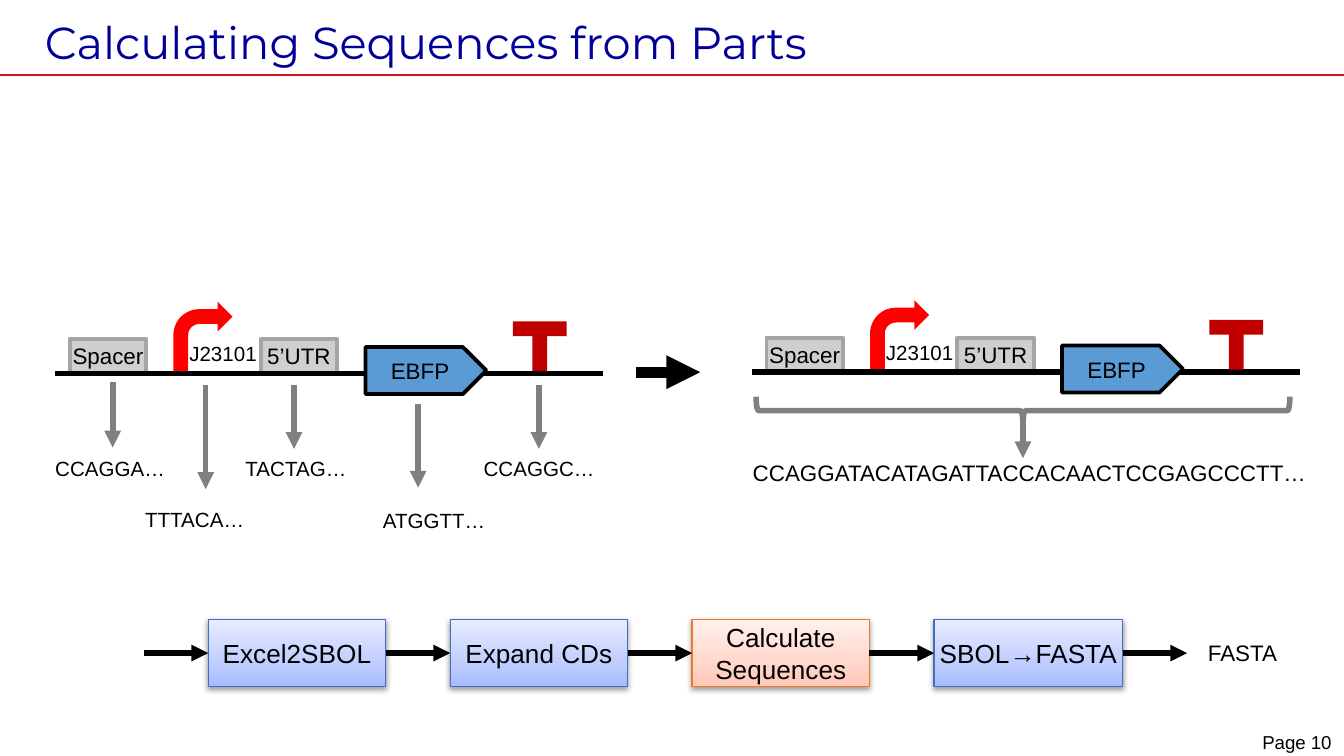
import pptx
import pptx.dml.color
import pptx.enum.dml
import pptx.enum.shapes
import pptx.enum.text
import pptx.oxml.ns
import pptx.util
from lxml import etree

Pt = pptx.util.Pt
SHAPE = pptx.enum.shapes.MSO_SHAPE
ALIGN = pptx.enum.text.PP_ALIGN
ANCHOR = pptx.enum.text.MSO_ANCHOR
qn = pptx.oxml.ns.qn

# Content
TITLE = "Calculating Sequences from Parts"
PAGE_LABEL = "Page 10"
GENE_PARTS = {"spacer": "Spacer", "promoter": "J23101", "utr": "5’UTR", "gene": "EBFP"}
# text, text left, text top, arrow x, arrow top, arrow bottom
PART_SEQUENCES = [
    ("CCAGGA…", 22.5, 240.5, 60.4, 204.5, 239.7),
    ("TTTACA…", 70.6, 268, 110.2, 206, 262),
    ("TACTAG…", 124.4, 240.5, 157.5, 206, 240.5),
    ("ATGGTT…", 198, 268.5, 224, 216.7, 261.3),
    ("CCAGGC…", 252, 241, 288.7, 206, 240.5),
]
FULL_SEQUENCE = "CCAGGATACATAGATTACCACAACTCCGAGCCCTT…"
BLUE = {"line": "3F6FC3", "stops": [(0, "A6BBFF"), (35, "C0CEFF"), (100, "E7ECFF")]}
ORANGE = {"line": "EC792B", "stops": [(0, "FFC7B6"), (35, "FFD7CB"), (100, "FFF0EB")]}
STEPS = [("Excel2SBOL", 95, BLUE), ("Expand CDs", 95, BLUE),
         ("Calculate Sequences", 95, ORANGE), ("SBOL→FASTA", 101, BLUE)]
RESULT = "FASTA"

BLACK, GREY = "000000", "808080"

deck = pptx.Presentation()
deck.slide_width, deck.slide_height = Pt(720), Pt(405)
page = deck.slides.add_slide(deck.slide_layouts[6])


def color(value):
    return pptx.dml.color.RGBColor.from_string(value)


def write(shape, text, size, ink=BLACK, font="Arial", align=ALIGN.LEFT,
          anchor=ANCHOR.TOP, insets=(7.2, 3.6, 7.2, 3.6), wrap=True, spacing=None):
    frame = shape.text_frame
    left, top, right, bottom = map(Pt, insets)
    settings = {"margin_left": left, "margin_top": top, "margin_right": right,
                "margin_bottom": bottom, "word_wrap": wrap, "vertical_anchor": anchor}
    for name, value in settings.items():
        setattr(frame, name, value)
    para = frame.paragraphs[0]
    para.alignment = align
    if spacing:
        para.line_spacing = spacing
    span = para.add_run()
    span.text = text
    for name, value in {"name": font, "size": Pt(size)}.items():
        setattr(span.font, name, value)
    span.font.color.rgb = color(ink)


def add_text(text, left, top, width, height, size, **options):
    box = page.shapes.add_textbox(Pt(left), Pt(top), Pt(width), Pt(height))
    write(box, text, size, **options)


def add_line(x1, y1, x2, y2, ink=BLACK, width=3, arrow=False):
    line = page.shapes.add_connector(
        pptx.enum.shapes.MSO_CONNECTOR.STRAIGHT, Pt(x1), Pt(y1), Pt(x2), Pt(y2))
    line.line.color.rgb = color(ink)
    line.line.width = Pt(width)
    if arrow:
        etree.SubElement(line.line._get_or_add_ln(), qn("a:tailEnd"), type="triangle")
    etree.SubElement(line._element.spPr, qn("a:effectLst"))


def add_shape(kind, left, top, width, height, fill=None, line=None, line_width=2,
              text=None, size=12):
    shape = page.shapes.add_shape(kind, Pt(left), Pt(top), Pt(width), Pt(height))
    if fill:
        shape.fill.solid()
        shape.fill.fore_color.rgb = color(fill)
    else:
        shape.fill.background()
    if line:
        shape.line.color.rgb = color(line)
        shape.line.width = Pt(line_width)
    else:
        shape.line.fill.background()
    shape.shadow.inherit = False
    if text:
        write(shape, text, size, align=ALIGN.CENTER, anchor=ANCHOR.MIDDLE,
              insets=(0, 0, 0, 0))
    return shape


def add_gradient(shape, stops):
    shape.fill.gradient()
    shape.fill.gradient_angle = 90
    stop_list = shape._element.spPr.find(".//" + qn("a:gsLst"))
    for stop in list(stop_list):
        stop_list.remove(stop)
    for position, value in stops:
        stop = etree.SubElement(stop_list, qn("a:gs"), pos=str(position * 1000))
        etree.SubElement(stop, qn("a:srgbClr"), val=value)


def add_shadow(shape):
    effects = shape._element.spPr.find(qn("a:effectLst"))
    shadow = etree.SubElement(effects, qn("a:outerShdw"), blurRad=str(Pt(3.1)),
                              dist=str(Pt(1.6)), dir="5400000", rotWithShape="0")
    ink = etree.SubElement(shadow, qn("a:srgbClr"), val=BLACK)
    etree.SubElement(ink, qn("a:alpha"), val="38000")


def add_circuit(x, y):
    """Draw the gene circuit; x, y is the left end of its backbone."""
    add_shape(SHAPE.BENT_ARROW, x + 63.4, y - 38.5, 31.7, 37.4, "FF0000")
    for part, offset in (("spacer", 7.9), ("utr", 110.2)):
        add_shape(SHAPE.RECTANGLE, x + offset, y - 18.5, 41, 18, "D0CECE", "A5A5A5",
                  text=GENE_PARTS[part])
    add_line(x, y, x + 293.5, y)
    add_shape(SHAPE.PENTAGON, x + 166.3, y - 14.3, 64.8, 25.2, "5B9BD5", BLACK,
              text=GENE_PARTS["gene"])
    terminator = add_shape(SHAPE.LEFT_RIGHT_UP_ARROW, x + 245.2, y - 28, 28.8, 26.6, "C00000")
    terminator.rotation = 180
    for index, value in enumerate((0.5, 0.148, 0)):
        terminator.adjustments[index] = value
    add_text(GENE_PARTS["promoter"], x + 64.8, y - 20.9, 51, 20.9, 11, wrap=False)


# Heading and page number
add_line(0, 40.3, 720, 40.3, "CE1126", 1)
add_text(PAGE_LABEL, 669.6, 391.7, 50.4, 10, 10, align=ALIGN.CENTER, insets=(0, 0, 0, 0))
add_text(TITLE, 24, 5.8, 553, 34.5, 24, ink="000099", font="Montserrat",
         anchor=ANCHOR.BOTTOM, insets=(0, 3.6, 7.2, 3.6), spacing=0.85)

# Workflow row
ROW_TOP, ROW_HEIGHT, FIRST_LEFT, PITCH, ARROW = 331.9, 36, 111.6, 129.6, 34.6
middle = ROW_TOP + ROW_HEIGHT / 2
for index, (label, width, style) in enumerate(STEPS):
    left = FIRST_LEFT + index * PITCH
    step = add_shape(SHAPE.RECTANGLE, left, ROW_TOP, width, ROW_HEIGHT,
                     line=style["line"], line_width=0.75, text=label, size=14)
    add_gradient(step, style["stops"])
    add_shadow(step)
    add_line(left - ARROW, middle, left, middle, arrow=True)
end = left + width
add_line(end, middle, end + ARROW, middle, arrow=True)
add_text(RESULT, 640, 338.6, 52, 21.8, 12, wrap=False)

# Circuit in parts, then as a whole
add_circuit(29.5, 200.2)
add_line(340.6, 199.4, 375.1, 199.4, width=6, arrow=True)
add_circuit(402.7, 199.4)

# Sequence of each part
for text, left, top, arrow_x, arrow_top, arrow_bottom in PART_SEQUENCES:
    add_line(arrow_x, arrow_top, arrow_x, arrow_bottom, GREY, arrow=True)
    add_text(text, left, top, 80.6, 20.6, 11)

# Combined sequence
add_text(FULL_SEQUENCE, 396.2, 242.6, 311.8, 21.8, 12)
add_line(548, 225.4, 548, 245.5, GREY, arrow=True)
brace = add_shape(SHAPE.RIGHT_BRACE, 540.5, 77, 15, 286, line=GREY, line_width=3)
brace.rotation = 90

deck.save("out.pptx")
